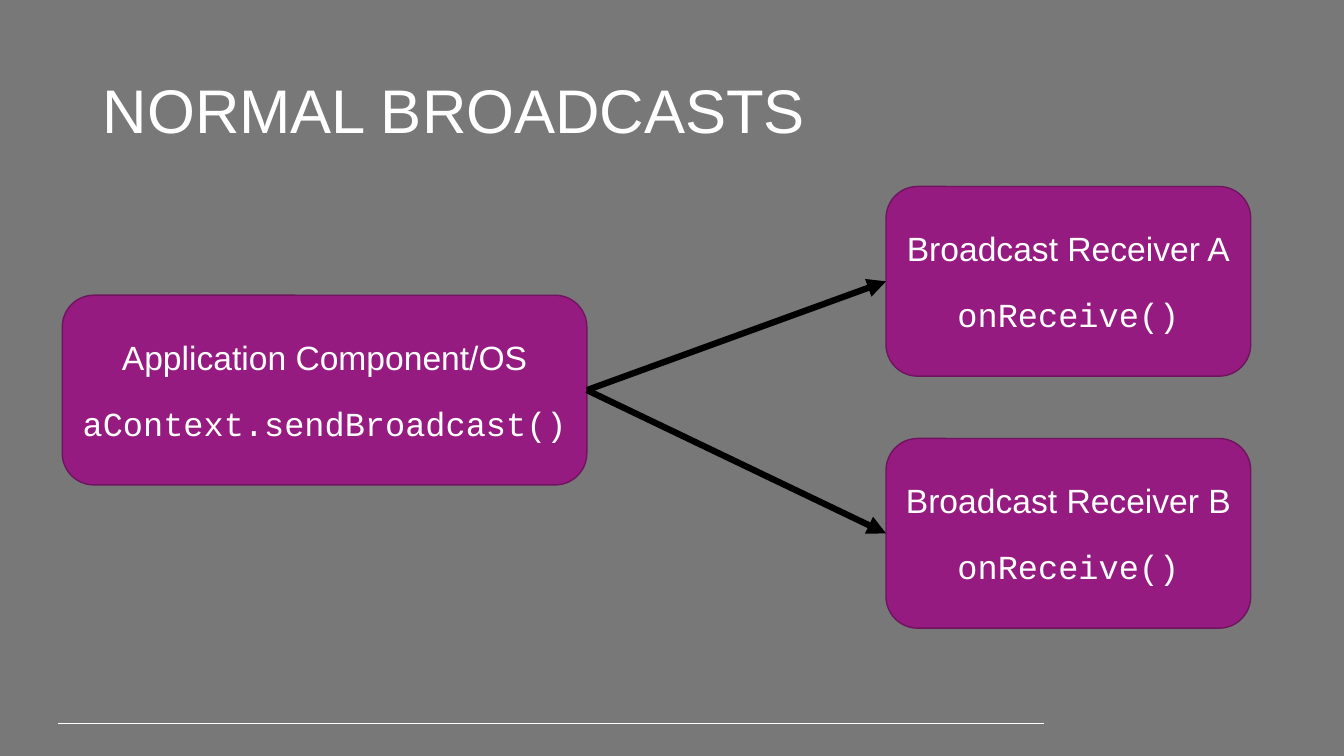
from dataclasses import dataclass

import pptx
import pptx.dml.color
import pptx.enum.shapes
import pptx.enum.text
import pptx.oxml
import pptx.oxml.ns
import pptx.presentation
import pptx.shapes.autoshape
import pptx.shapes.connector
import pptx.slide
import pptx.text.text
import pptx.util
from pptx.util import Cm

WHITE = "FFFFFF"
BLACK = "000000"
GRAY = "787878"
PURPLE = "961B81"
DARK_PURPLE = "6F145F"
BOX_HEIGHT = 4.78
RIGHT_SITE = 3
LEFT_SITE = 1


@dataclass(frozen=True)
class Component:
    title: str
    call: str
    left: float
    top: float
    width: float


SENDER = Component("Application Component/OS", "aContext.sendBroadcast()", 1.57, 7.44, 13.22)
RECEIVERS = [
    Component(f"Broadcast Receiver {letter}", "onReceive()", 22.33, top, 9.19)
    for letter, top in (("A", 4.7), ("B", 11.05))
]


def color(value: str) -> pptx.dml.color.RGBColor:
    return pptx.dml.color.RGBColor.from_string(value)


def write(
    para: pptx.text.text._Paragraph,
    text: str,
    *,
    size: float = 24,
    font: str = "Arial",
    centered: bool = False,
    before: float = 0,
    line_spacing: float = 1.0,
) -> None:
    alignment = pptx.enum.text.PP_ALIGN
    para.alignment = alignment.CENTER if centered else alignment.LEFT
    para.space_before = pptx.util.Pt(before)
    para.line_spacing = line_spacing
    span = para.add_run()
    span.text = text
    span.font.name = font
    span.font.size = pptx.util.Pt(size)
    span.font.color.rgb = color(WHITE)


def draw_title(page: pptx.slide.Slide, text: str) -> None:
    box = page.shapes.add_textbox(Cm(2.34), Cm(1.02), Cm(29.21), Cm(3.68))
    frame = box.text_frame
    frame.word_wrap = True
    frame.vertical_anchor = pptx.enum.text.MSO_ANCHOR.MIDDLE
    write(frame.paragraphs[0], text, size=44, line_spacing=0.9)


def draw_component(page: pptx.slide.Slide, component: Component) -> pptx.shapes.autoshape.Shape:
    box = page.shapes.add_shape(
        pptx.enum.shapes.MSO_SHAPE.ROUNDED_RECTANGLE,
        Cm(component.left),
        Cm(component.top),
        Cm(component.width),
        Cm(BOX_HEIGHT),
    )
    box.shadow.inherit = False
    box.fill.solid()
    box.fill.fore_color.rgb = color(PURPLE)
    box.line.color.rgb = color(DARK_PURPLE)
    box.line.width = pptx.util.Pt(1)
    frame = box.text_frame
    frame.word_wrap = False
    frame.vertical_anchor = pptx.enum.text.MSO_ANCHOR.MIDDLE
    write(frame.paragraphs[0], component.title, centered=True)
    write(frame.add_paragraph(), component.call, font="Courier New", centered=True, before=18.5)
    return box


def draw_line(
    page: pptx.slide.Slide,
    stroke: str,
    width: float,
    *,
    start: tuple[float, float] = (0, 0),
    end: tuple[float, float] = (0, 0),
) -> pptx.shapes.connector.Connector:
    line = page.shapes.add_connector(
        pptx.enum.shapes.MSO_CONNECTOR.STRAIGHT, *map(Cm, start), *map(Cm, end)
    )
    line.line.color.rgb = color(stroke)
    line.line.width = pptx.util.Pt(width)
    properties = line._element.spPr
    properties.append(pptx.oxml.parse_xml(f"<a:effectLst {pptx.oxml.ns.nsdecls('a')}/>"))
    return line


def draw_arrow(
    page: pptx.slide.Slide,
    source: pptx.shapes.autoshape.Shape,
    target: pptx.shapes.autoshape.Shape,
) -> None:
    arrow = draw_line(page, BLACK, 4.5)
    arrow.begin_connect(source, RIGHT_SITE)
    arrow.end_connect(target, LEFT_SITE)
    head = pptx.oxml.parse_xml(f'<a:tailEnd {pptx.oxml.ns.nsdecls("a")} type="triangle"/>')
    arrow.line._get_or_add_ln().append(head)


def build() -> pptx.presentation.Presentation:
    deck = pptx.Presentation()
    deck.slide_width = Cm(33.87)
    deck.slide_height = Cm(19.05)
    page = deck.slides.add_slide(deck.slide_layouts[6])
    page.background.fill.solid()
    page.background.fill.fore_color.rgb = color(GRAY)

    draw_line(page, WHITE, 0.75, start=(1.45, 18.24), end=(26.31, 18.24))
    draw_title(page, "NORMAL BROADCASTS")
    sender = draw_component(page, SENDER)
    receivers = [draw_component(page, receiver) for receiver in RECEIVERS]
    for receiver in receivers:
        draw_arrow(page, sender, receiver)
    return deck


def main() -> None:
    build().save("out.pptx")


if __name__ == "__main__":
    main()
